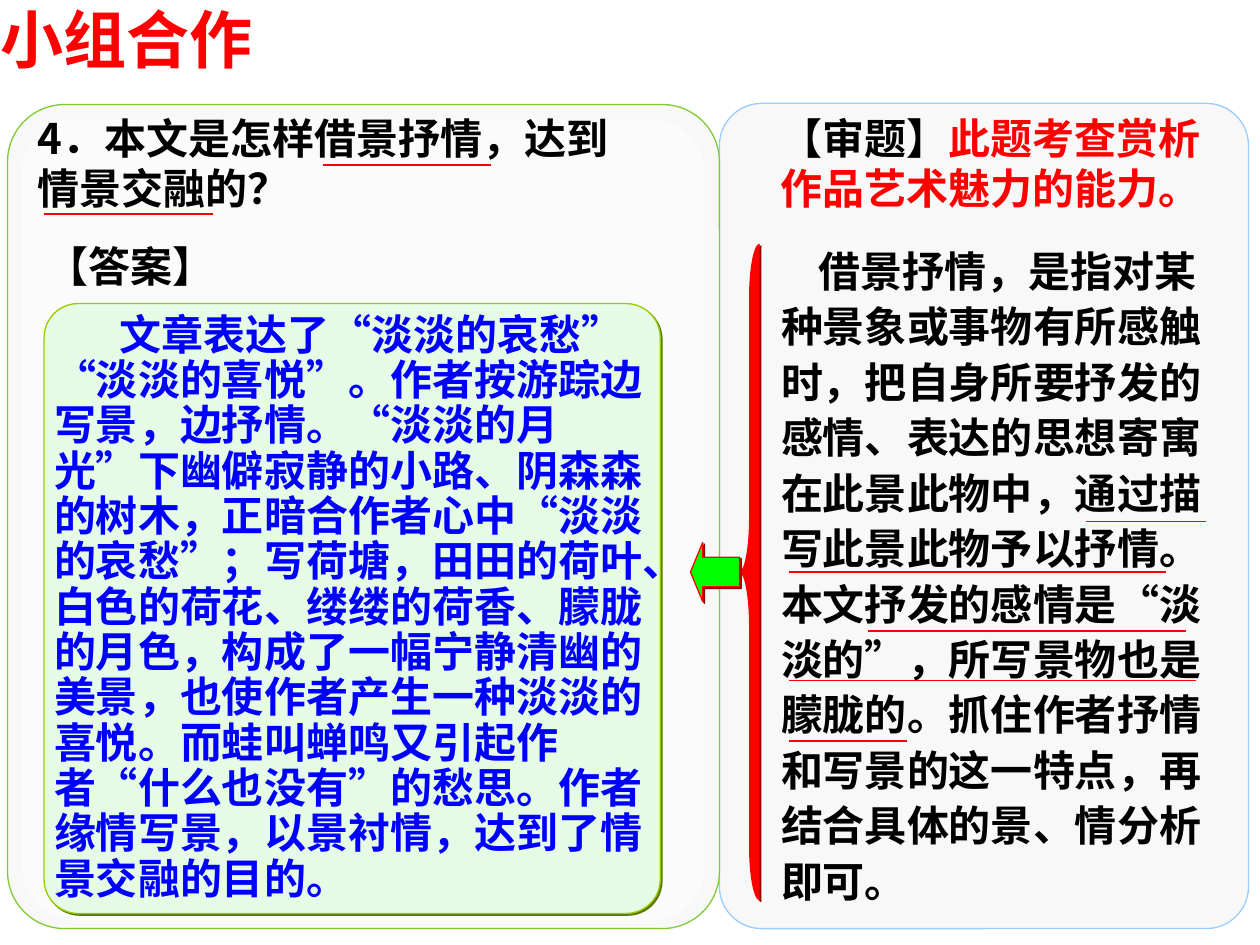
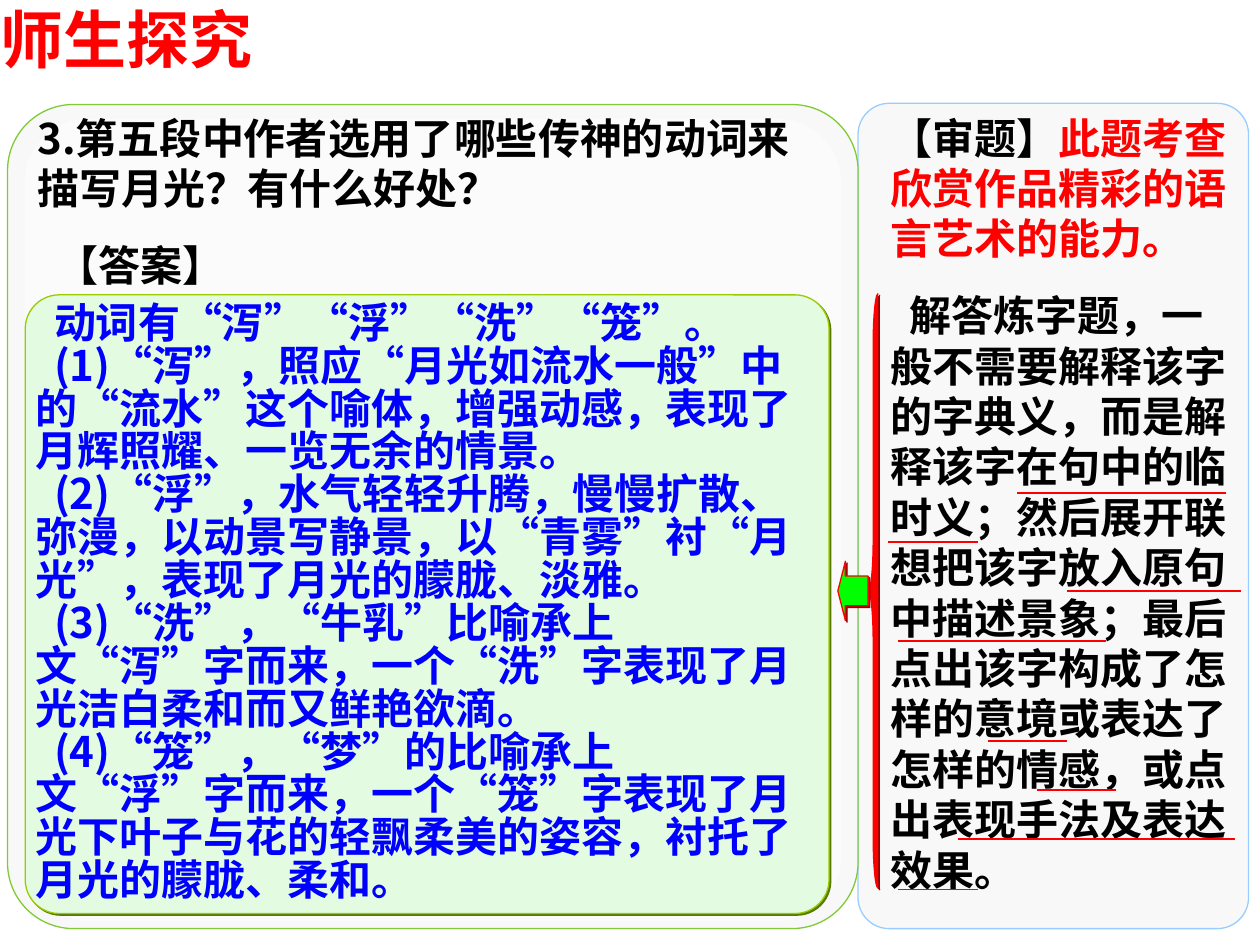
"""Builds two reading-lesson slides, each with a model answer beside its analysis."""
import pptx
import pptx.dml.color
import pptx.enum.lang
import pptx.enum.shapes
import pptx.enum.text
import pptx.oxml
import pptx.oxml.ns
import pptx.util

Inches, Pt = pptx.util.Inches, pptx.util.Pt
RGBColor = pptx.dml.color.RGBColor
SHAPE = pptx.enum.shapes.MSO_SHAPE
ANCHOR = pptx.enum.text.MSO_ANCHOR
LEFT = pptx.enum.text.PP_ALIGN.LEFT
qn = pptx.oxml.ns.qn

RED = RGBColor(0xFF, 0x00, 0x00)
BLACK = RGBColor(0x00, 0x00, 0x00)
BLUE = RGBColor(0x00, 0x00, 0xFF)
GREEN = RGBColor(0x00, 0xFF, 0x00)
WHITE = RGBColor(0xFF, 0xFF, 0xFF)
PANEL = RGBColor(0xF8, 0xF8, 0xF8)
PANEL_GREEN = RGBColor(0x80, 0xCB, 0x35)
PANEL_BLUE = RGBColor(0x99, 0xCC, 0xFF)
CARD_EDGE = RGBColor(0x99, 0xCC, 0x00)
CARD_SHADOW = RGBColor(0x5B, 0x79, 0x00)
RED_SHADOW = RGBColor(0x98, 0x00, 0x00)
TEXT_SHADOW = RGBColor(0x80, 0x80, 0x80)
ARIAL, NOTO = "Arial", "Noto Sans CJK SC"
PANEL_LEFT, PANEL_RIGHT = 0.06, 9.91
CARD_RADIUS = 0.27
ARROW_HEIGHT = 0.47

LESSONS = [
    {
        "title": "小组合作",
        "split": 5.71,
        "question": ("4．本文是怎样借景抒情，达到情景交融的？", (0.2, 0.84, 5.04, 0.9)),
        "answer_label": (0.27, 1.86, 1.73, 0.5),
        "answer": [
            (0.52, "文章表达了“淡淡的哀愁”"),
            (0, "“淡淡的喜悦”。作者按游踪边写景，边抒情。“淡淡的月光”下幽僻寂静的小路、"
                "阴森森的树木，正暗合作者心中“淡淡的哀愁”；写荷塘，田田的荷叶、白色的荷花、"
                "缕缕的荷香、朦胧的月色，构成了一幅宁静清幽的美景，也使作者产生一种淡淡的喜悦。"
                "而蛙叫蝉鸣又引起作者“什么也没有”的愁思。作者缘情写景，以景衬情，"
                "达到了情景交融的目的。"),
        ],
        "card": {"box": (0.35, 2.41, 4.89, 4.84), "fill": RGBColor(0xE6, 0xFB, 0xE5),
                 "font": ARIAL, "spacing": 0.9},
        "aim": ("此题考查赏析作品艺术魅力的能力。", (6.1, 0.84, 3.74, 0.9)),
        "method": (0.3, "借景抒情，是指对某种景象或事物有所感触时，把自身所要抒发的感情、"
                        "表达的思想寄寓在此景此物中，通过描写此景此物予以抒情。"
                        "本文抒发的感情是“淡淡的”，所写景物也是朦胧的。"
                        "抓住作者抒情和写景的这一特点，再结合具体的景、情分析即可。"),
        "method_style": {"box": (6.1, 1.86, 3.62, 5.38), "font": ARIAL,
                         "spacing": 1.1, "anchor": ANCHOR.TOP},
        "underlines": [(2.56, 3.9, 1.31), (0.35, 1.69, 1.7), (8.62, 9.57, 4.14),
                       (6.26, 9.25, 4.54), (6.89, 9.41, 5.01), (6.26, 9.49, 5.4),
                       (6.26, 7.2, 5.88)],
        "brace": (5.87, 1.94, 0.16, 5.2),
        "brace_curve": 0.43,
        "arrow_width": 0.39,
    },
    {
        "title": "师生探究",
        "split": 6.81,
        "question": ("3.第五段中作者选用了哪些传神的动词来描写月光？有什么好处？",
                     (0.2, 0.84, 6.46, 0.9)),
        "answer_label": (0.35, 1.85, 1.65, 0.5),
        "answer": [
            (0.15, "动词有“泻”“浮”“洗”“笼”。"),
            (0.15, "(1)“泻”，照应“月光如流水一般”中的“流水”这个喻体，增强动感，"
                   "表现了月辉照耀、一览无余的情景。"),
            (0.15, "(2)“浮”，水气轻轻升腾，慢慢扩散、弥漫，以动景写静景，"
                   "以“青雾”衬“月光”，表现了月光的朦胧、淡雅。"),
            (0.15, "(3)“洗”，“牛乳”比喻承上文“泻”字而来，"
                   "一个“洗”字表现了月光洁白柔和而又鲜艳欲滴。"),
            (0.15, "(4)“笼”，“梦”的比喻承上文“浮”字而来，"
                   "一个“笼”字表现了月光下叶子与花的轻飘柔美的姿容，衬托了月光的朦胧、柔和。"),
        ],
        "card": {"box": (0.2, 2.34, 6.38, 4.91), "fill": RGBColor(0xE2, 0xFB, 0xE1),
                 "font": NOTO, "spacing": 0.85},
        "aim": ("此题考查欣赏作品精彩的语言艺术的能力。", (6.97, 0.84, 2.91, 1.3)),
        "method": (0.15, "解答炼字题，一般不需要解释该字的字典义，而是解释该字在句中的临时义；"
                         "然后展开联想把该字放入原句中描述景象；"
                         "最后点出该字构成了怎样的意境或表达了怎样的情感，或点出表现手法及表达效果。"),
        "method_style": {"box": (6.97, 2.25, 2.91, 4.9), "font": NOTO,
                         "spacing": 1.0, "anchor": ANCHOR.MIDDLE},
        "underlines": [(8.07, 9.73, 3.91), (7.05, 7.76, 4.3), (8.47, 9.85, 4.69),
                       (7.13, 8.78, 5.09), (7.84, 8.47, 5.88), (8.23, 8.86, 6.27),
                       (7.6, 9.8, 6.66), (7.13, 7.76, 7.06)],
        "brace": (6.89, 2.33, 0.08, 4.72),
        "brace_curve": 0.4,
        "arrow_width": 0.24,
    },
]


def shadow_effect(color):
    return pptx.oxml.parse_xml(
        f'<a:effectLst {pptx.oxml.ns.nsdecls("a")}>'
        '<a:outerShdw dist="17780" dir="2700000" algn="ctr" rotWithShape="0">'
        f'<a:srgbClr val="{color}"/></a:outerShdw></a:effectLst>')


def place(box):
    return [Inches(length) for length in box]


def add_figure(shapes, kind, box, fill, edge=None, shadow=None, adjustments=()):
    figure = shapes.add_shape(kind, *place(box))
    for index, value in enumerate(adjustments):
        figure.adjustments[index] = value
    figure.fill.solid()
    figure.fill.fore_color.rgb = fill
    if edge is None:
        figure.line.fill.background()
    else:
        figure.line.color.rgb = edge
        figure.line.width = Pt(0.75)
    figure.shadow.inherit = False
    if shadow is not None:
        properties = figure._element.spPr
        properties.replace(properties.find(qn("a:effectLst")), shadow_effect(shadow))
    return figure


def style_run(run, color, font, size=24, shadow=True):
    run.font.size = Pt(size)
    run.font.bold = True
    run.font.color.rgb = color
    run.font.name = font
    run.font.language_id = pptx.enum.lang.MSO_LANGUAGE_ID.SIMPLIFIED_CHINESE
    latin = run._r.rPr.find(qn("a:latin"))
    if shadow:
        latin.addprevious(shadow_effect(TEXT_SHADOW))
    east_asian = latin.makeelement(qn("a:ea"), {"typeface": NOTO})
    latin.addnext(east_asian)


def write(frame, paragraphs, color, font, spacing=1.0, anchor=ANCHOR.TOP, size=24, shadow=True):
    """Fills a frame with (first-line indent, text) paragraphs."""
    frame.word_wrap = True
    frame.vertical_anchor = anchor
    for index, (indent, text) in enumerate(paragraphs):
        paragraph = frame.add_paragraph() if index else frame.paragraphs[0]
        paragraph.text = text
        paragraph.alignment = LEFT
        paragraph.line_spacing = spacing
        if indent:
            paragraph._p.get_or_add_pPr().set("indent", str(Inches(indent)))
        for run in paragraph.runs:
            style_run(run, color, font, size, shadow)


def clear_margins(frame):
    frame.margin_left = frame.margin_top = frame.margin_right = frame.margin_bottom = 0


def add_note(slide, box, paragraphs, font=ARIAL, **style):
    frame = slide.shapes.add_textbox(*place(box)).text_frame
    write(frame, paragraphs, BLACK, font, **style)
    return frame


def add_panels(slide, split):
    add_figure(slide.shapes, SHAPE.ROUNDED_RECTANGLE, (split, 0.82, PANEL_RIGHT - split, 6.55),
               PANEL, PANEL_BLUE, adjustments=[0.08])
    answer_panel = slide.shapes.add_group_shape().shapes
    width = split - PANEL_LEFT
    add_figure(answer_panel, SHAPE.ROUNDED_RECTANGLE, (PANEL_LEFT, 0.83, width, 6.54),
               PANEL, PANEL_GREEN, adjustments=[0.08])
    glow = add_figure(answer_panel, SHAPE.ROUNDED_RECTANGLE,
                      (PANEL_LEFT + 0.02 * width, 0.94, 0.96 * width, 6.37),
                      WHITE, adjustments=[0.08])
    tint = glow._element.spPr.find(qn("a:solidFill"))[0]
    tint.append(tint.makeelement(qn("a:alpha"), {"val": "50000"}))


def add_title(slide, text):
    title = slide.shapes.title
    title.left, title.top, title.width, title.height = place((0, 0, 3.35, 0.6))
    clear_margins(title.text_frame)
    title.text_frame.auto_size = pptx.enum.text.MSO_AUTO_SIZE.NONE
    write(title.text_frame, [(0, text)], RED, ARIAL, size=36)


def add_answer_card(slide, paragraphs, box, fill, font, spacing):
    card = add_figure(slide.shapes, SHAPE.ROUNDED_RECTANGLE, box, fill, CARD_EDGE,
                      CARD_SHADOW, [CARD_RADIUS / min(box[2:])])
    clear_margins(card.text_frame)
    write(card.text_frame, paragraphs, BLUE, font, spacing, ANCHOR.MIDDLE, shadow=False)


def add_underline(slide, start, end, y):
    underline = slide.shapes.add_connector(
        pptx.enum.shapes.MSO_CONNECTOR.STRAIGHT, *place((start, y, end, y)))
    underline.line.color.rgb = RED
    underline.line.width = Pt(1)
    properties = underline._element.spPr
    properties.append(properties.makeelement(qn("a:effectLst"), {}))


def add_brace_and_arrow(slide, brace, curve, arrow_width):
    left, top, width, height = brace
    add_figure(slide.shapes, SHAPE.LEFT_BRACE, brace, RED, RED, RED_SHADOW, [curve / width, 0.5])
    arrow = (left - arrow_width, top + (height - ARROW_HEIGHT) / 2, arrow_width, ARROW_HEIGHT)
    add_figure(slide.shapes, SHAPE.LEFT_ARROW, arrow, GREEN, RED, RED_SHADOW, [0.5, 0.25])


def build_lesson(deck, lesson):
    slide = deck.slides.add_slide(deck.slide_layouts[5])
    add_panels(slide, lesson["split"])
    add_title(slide, lesson["title"])
    question, question_box = lesson["question"]
    add_note(slide, question_box, [(0, question)], NOTO, anchor=ANCHOR.MIDDLE)
    add_answer_card(slide, lesson["answer"], **lesson["card"])
    aim, aim_box = lesson["aim"]
    aim_run = add_note(slide, aim_box, [(0, "【审题】")]).paragraphs[0].add_run()
    aim_run.text = aim
    style_run(aim_run, RED, ARIAL)
    add_note(slide, paragraphs=[lesson["method"]], **lesson["method_style"])
    add_note(slide, lesson["answer_label"], [(0, "【答案】")])
    for underline in lesson["underlines"]:
        add_underline(slide, *underline)
    add_brace_and_arrow(slide, lesson["brace"], lesson["brace_curve"], lesson["arrow_width"])


def main():
    deck = pptx.Presentation()
    deck.slide_width, deck.slide_height = Inches(10), Inches(7.5)
    for lesson in LESSONS:
        build_lesson(deck, lesson)
    deck.save("out.pptx")


if __name__ == "__main__":
    main()
